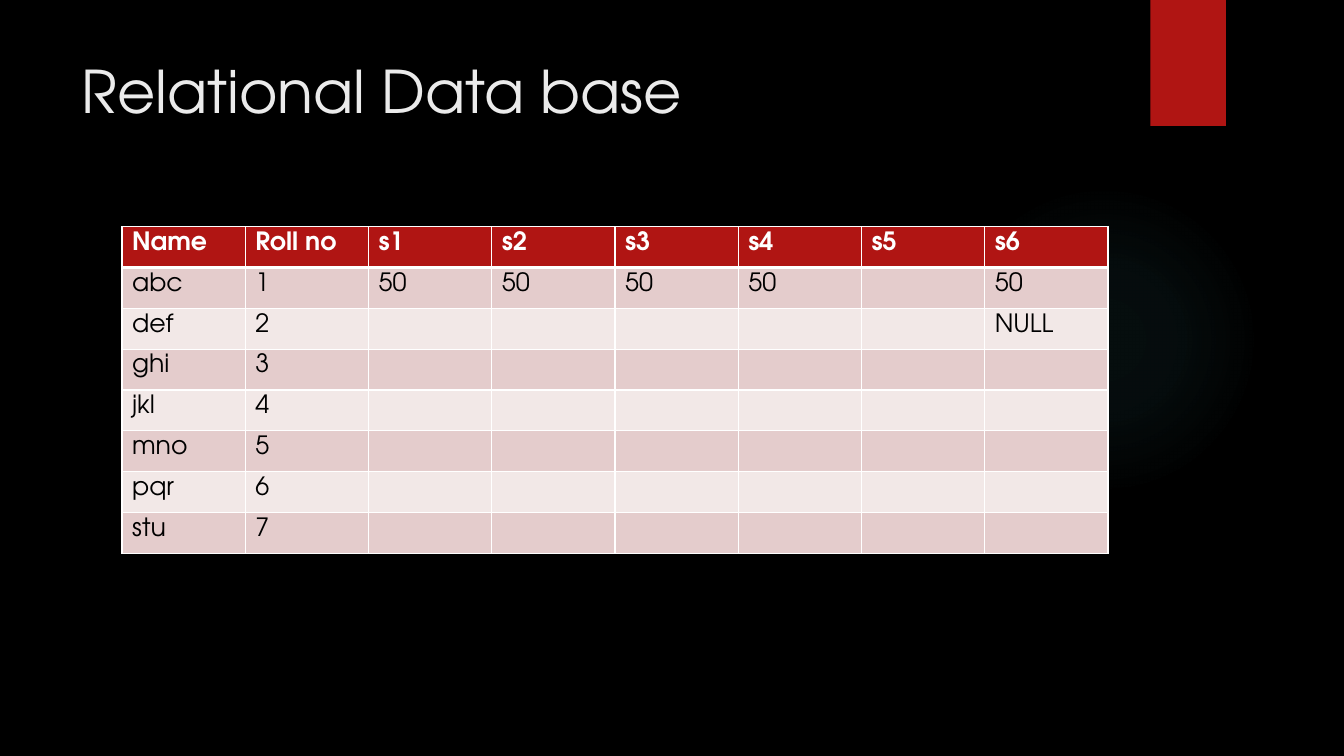
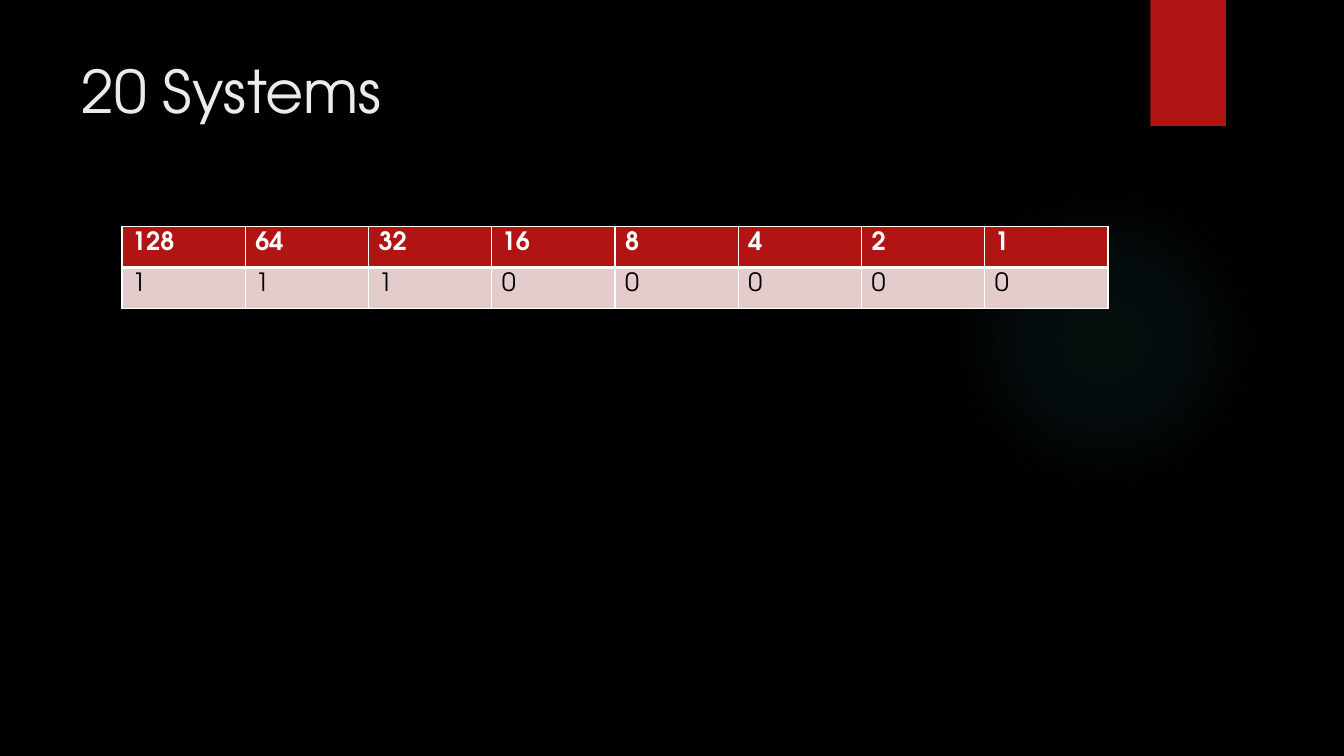
from lxml import etree
from pptx import Presentation
from pptx.dml.color import RGBColor
from pptx.enum.shapes import MSO_SHAPE as Shape
from pptx.oxml.ns import qn
from pptx.util import Inches, Pt

COLORS = {
    "background": "000000",
    "title": "EBEBEB",
    "accent": "B01513",
    "glow": "50B9C1",
    "header_text": "FFFFFF",
    "body_text": "000000",
    "border": "FFFFFF",
    "odd_row": "E4CCCC",
    "even_row": "F2E8E7",
}
FONT = "TeX Gyre Adventor"
GLOW_STOPS = [(0, 7), (36, 6), (69, 0)]

SLIDES = [
    ("Relational Data base", [
        ["Name", "Roll no", "s1", "s2", "s3", "s4", "s5", "s6"],
        ["abc", "1", "50", "50", "50", "50", "", "50"],
        ["def", "2", "", "", "", "", "", "NULL"],
        ["ghi", "3"],
        ["jkl", "4"],
        ["mno", "5"],
        ["pqr", "6"],
        ["stu", "7"],
    ]),
    ("20 Systems", [
        ["128", "64", "32", "16", "8", "4", "2", "1"],
        ["1", "1", "1", "0", "0", "0", "0", "0"],
    ]),
]

SLIDE_SIZE = (13.33, 7.5)
GLOW_BOX = (9.41, 1.83, 3.08, 3.08)
TAB_BOX = (11.41, 0, 0.75, 1.25)
TITLE_BOX = (0.71, 0.49, 10.29, 1.53)
TABLE_LEFT, TABLE_TOP, TABLE_WIDTH = 1.21, 2.25, 9.78
ROW_HEIGHT = 3.24 / 8


def rgb(name):
    return RGBColor.from_string(COLORS[name])


def inches(values):
    return [Inches(value) for value in values]


def set_text(paragraph, text, size, color, bold=False):
    paragraph.text = text
    font = paragraph.font
    font.name, font.size, font.bold = FONT, Pt(size), bold
    font.color.rgb = rgb(color)


def add_plain_shape(slide, kind, box):
    shape = slide.shapes.add_shape(kind, *inches(box))
    shape.shadow.inherit = False
    shape.line.fill.background()
    return shape


def fill_with_glow(shape):
    shape.fill.background()
    properties = shape.fill._xPr
    no_fill = properties.find(qn("a:noFill"))
    gradient = etree.Element(qn("a:gradFill"), rotWithShape="1")
    stops = etree.SubElement(gradient, qn("a:gsLst"))
    for position, opacity in GLOW_STOPS:
        stop = etree.SubElement(stops, qn("a:gs"), pos=str(position * 1000))
        color = etree.SubElement(stop, qn("a:srgbClr"), val=COLORS["glow"])
        etree.SubElement(color, qn("a:alpha"), val=str(opacity * 1000))
    circle = etree.SubElement(gradient, qn("a:path"), path="circle")
    center = dict.fromkeys("ltrb", "50000")
    etree.SubElement(circle, qn("a:fillToRect"), **center)
    properties.replace(no_fill, gradient)


def add_borders(cell, top, bottom):
    properties = cell._tc.get_or_add_tcPr()
    for side, width in (("L", 1), ("R", 1), ("T", top), ("B", bottom)):
        line = etree.SubElement(properties, qn(f"a:ln{side}"), w=str(Pt(width)))
        fill = etree.SubElement(line, qn("a:solidFill"))
        etree.SubElement(fill, qn("a:srgbClr"), val=COLORS["border"])


def add_frame(slide, title):
    fill_with_glow(add_plain_shape(slide, Shape.OVAL, GLOW_BOX))
    tab = add_plain_shape(slide, Shape.RECTANGLE, TAB_BOX)
    tab.fill.solid()
    tab.fill.fore_color.rgb = rgb("accent")
    frame = slide.shapes.add_textbox(*inches(TITLE_BOX)).text_frame
    frame.word_wrap = True
    set_text(frame.paragraphs[0], title, 42, "title")


def add_grid(slide, rows):
    columns = len(rows[0])
    box = (TABLE_LEFT, TABLE_TOP, TABLE_WIDTH, ROW_HEIGHT * len(rows))
    table = slide.shapes.add_table(len(rows), columns, *inches(box)).table
    for row_index, row in enumerate(rows):
        header = row_index == 0
        band = "accent" if header else "odd_row" if row_index % 2 else "even_row"
        text_color = "header_text" if header else "body_text"
        for column_index in range(columns):
            cell = table.cell(row_index, column_index)
            text = row[column_index] if column_index < len(row) else ""
            add_borders(cell, 3 if row_index == 1 else 1, 3 if header else 1)
            cell.fill.solid()
            cell.fill.fore_color.rgb = rgb(band)
            set_text(cell.text_frame.paragraphs[0], text, 18, text_color, header)


def main():
    presentation = Presentation()
    presentation.slide_width, presentation.slide_height = inches(SLIDE_SIZE)
    background = presentation.slide_master.background.fill
    background.solid()
    background.fore_color.rgb = rgb("background")
    for title, rows in SLIDES:
        slide = presentation.slides.add_slide(presentation.slide_layouts[6])
        add_frame(slide, title)
        add_grid(slide, rows)
    presentation.save("out.pptx")


if __name__ == "__main__":
    main()
